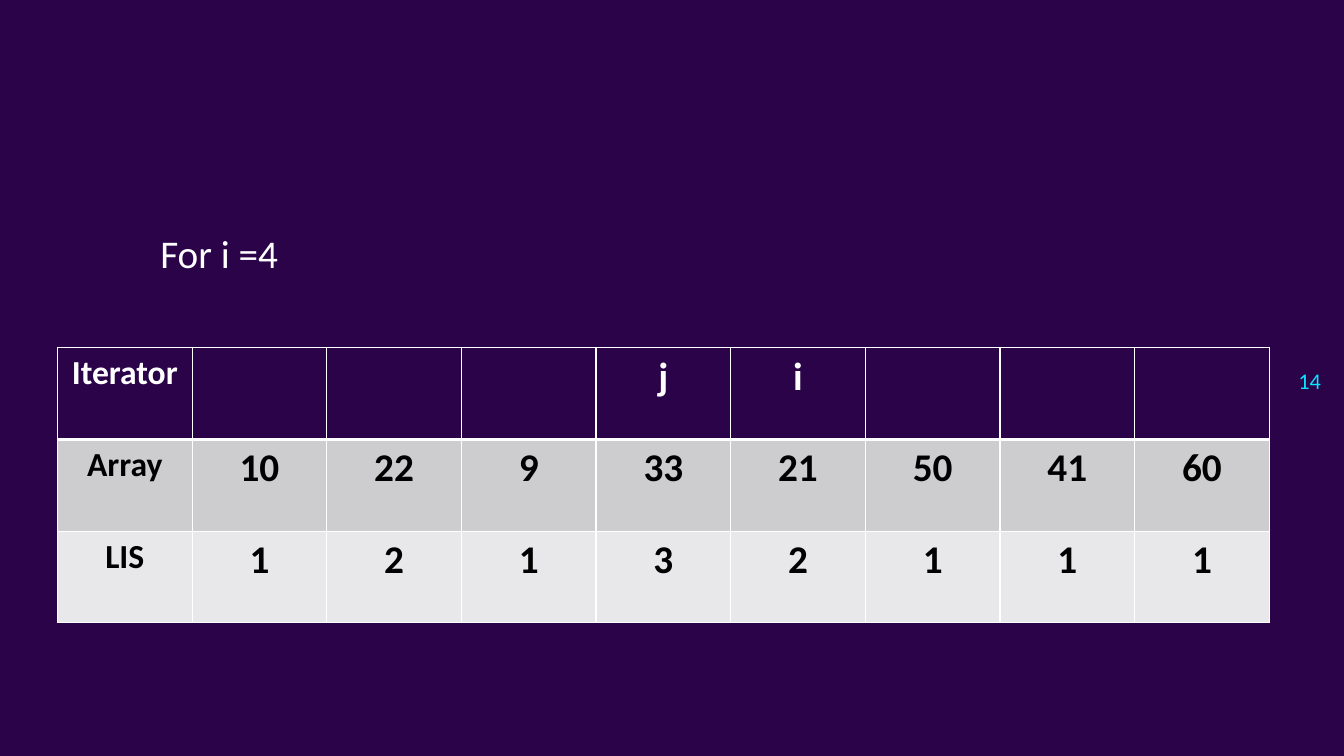
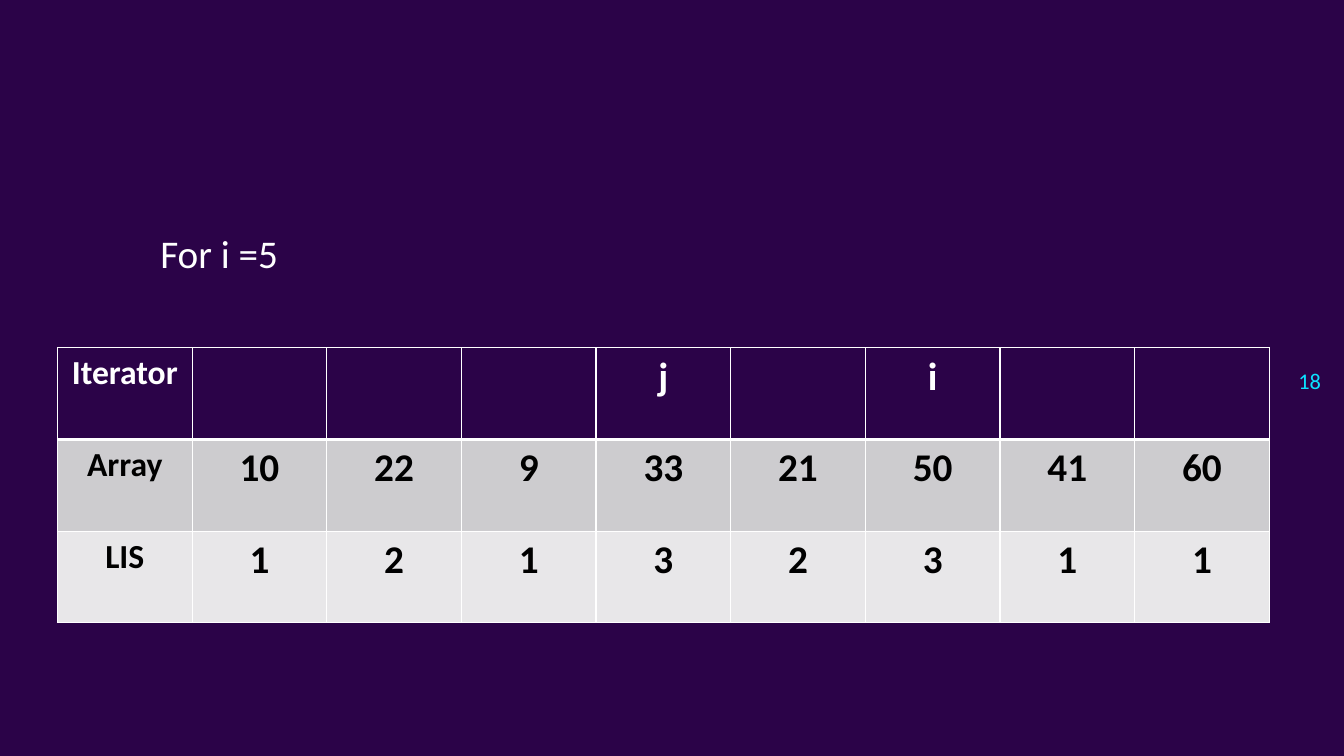
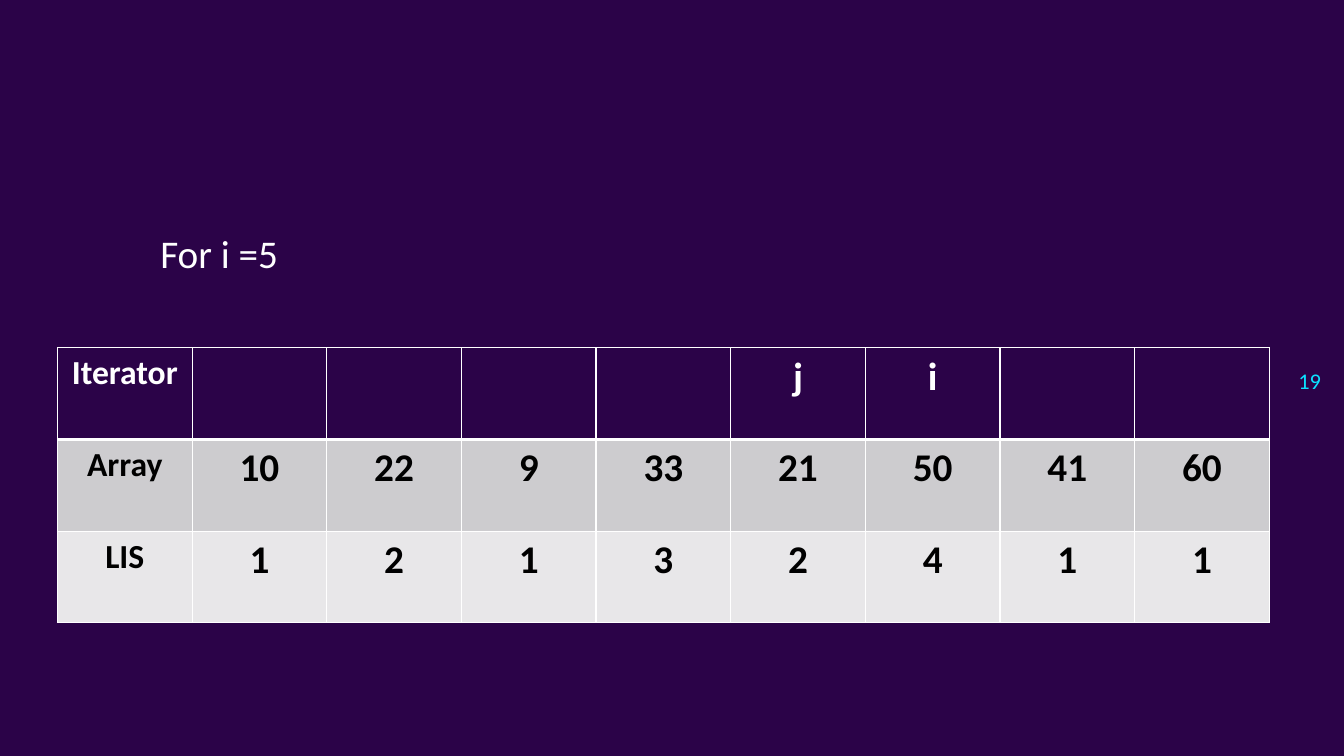
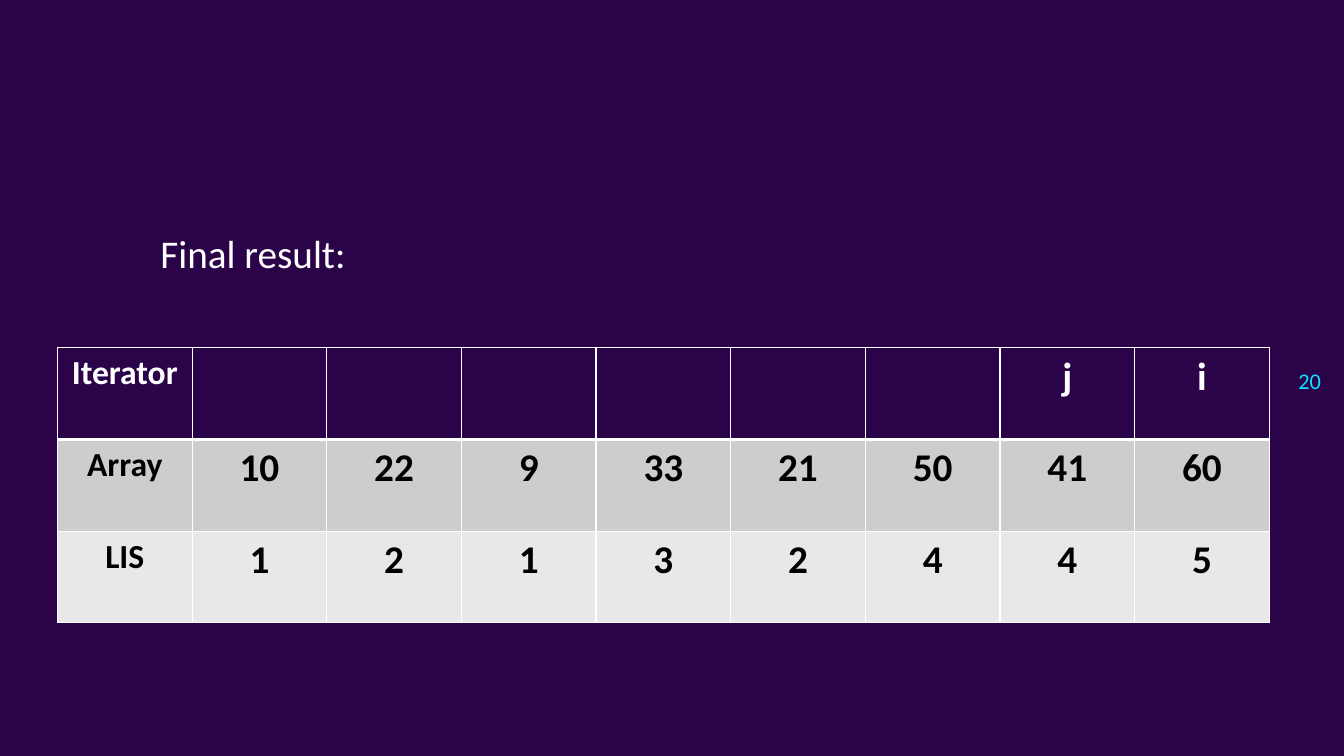
from dataclasses import dataclass

from lxml.etree import SubElement
from pptx import Presentation
from pptx.dml.color import RGBColor
from pptx.enum.text import MSO_ANCHOR, MSO_AUTO_SIZE, PP_ALIGN
from pptx.oxml.ns import qn
from pptx.presentation import Presentation as Deck
from pptx.slide import Slide
from pptx.table import _Cell as Cell
from pptx.text.text import TextFrame
from pptx.util import Inches, Pt

FONT = "Calibri"
COLORS = {
    "background": "2B0348",
    "white": "FFFFFF",
    "black": "000000",
    "page number": "0BE1FF",
    "array row": "CDCCCF",
    "result row": "E8E7E9",
}
ARRAY = [10, 22, 9, 33, 21, 50, 41, 60]
COLUMN_WIDTH = 12.02 / (len(ARRAY) + 1)
ROW_HEIGHT = 0.91


@dataclass(frozen=True)
class Step:
    """One state of the longest increasing subsequence search."""
    page_number: int
    heading: str
    j: int
    i: int
    lengths: list[int]


@dataclass(frozen=True)
class RowStyle:
    label: str
    fill: str
    text: str
    top_border: float
    bottom_border: float


STEPS = [
    Step(14, "For i =4", 3, 4, [1, 2, 1, 3, 2, 1, 1, 1]),
    Step(18, "For i =5", 3, 5, [1, 2, 1, 3, 2, 3, 1, 1]),
    Step(19, "For i =5", 4, 5, [1, 2, 1, 3, 2, 4, 1, 1]),
    Step(20, "Final result:", 6, 7, [1, 2, 1, 3, 2, 4, 4, 5]),
]
ROW_STYLES = [
    RowStyle("Iterator", "background", "white", 1, 3),
    RowStyle("Array", "array row", "black", 3, 1),
    RowStyle("LIS", "result row", "black", 1, 1),
]


def color(name: str) -> RGBColor:
    return RGBColor.from_string(COLORS[name])


def write(frame: TextFrame, text: str, size: float, color_name: str,
          align: PP_ALIGN, bold: bool = False) -> None:
    """Put one formatted paragraph in a text frame."""
    frame.text = text
    para = frame.paragraphs[0]
    para.alignment = align
    for span in para.runs:
        span.font.name = FONT
        span.font.size = Pt(size)
        span.font.bold = bold
        span.font.color.rgb = color(color_name)


def add_heading(page: Slide, text: str) -> None:
    title = page.shapes.title
    title.left, title.top = Inches(1.49), Inches(1.99)
    title.width, title.height = Inches(7.99), Inches(1.23)
    frame = title.text_frame
    frame.auto_size = MSO_AUTO_SIZE.NONE
    frame.vertical_anchor = MSO_ANCHOR.TOP
    write(frame, text, 28, "white", PP_ALIGN.LEFT)
    frame.paragraphs[0].line_spacing = 1.5


def add_page_number(page: Slide, number: int) -> None:
    box = page.shapes.add_textbox(
        Inches(12.6), Inches(3.46), Inches(0.6), Inches(0.63))
    frame = box.text_frame
    frame.word_wrap = True
    frame.vertical_anchor = MSO_ANCHOR.MIDDLE
    write(frame, str(number), 16, "page number", PP_ALIGN.RIGHT)


def style_cell(cell: Cell, style: RowStyle) -> None:
    """Draw the white borders, then the fill, as the schema orders them."""
    properties = cell._tc.get_or_add_tcPr()
    borders = {"a:lnL": 1, "a:lnR": 1,
               "a:lnT": style.top_border, "a:lnB": style.bottom_border}
    for tag, width in borders.items():
        line = SubElement(properties, qn(tag), w=str(Pt(width)))
        fill = SubElement(line, qn("a:solidFill"))
        SubElement(fill, qn("a:srgbClr"), val=COLORS["white"])
    cell.fill.solid()
    cell.fill.fore_color.rgb = color(style.fill)


def add_step_table(page: Slide, step: Step) -> None:
    pointers = {step.j: "j", step.i: "i"}
    iterators = [pointers.get(index, "") for index in range(len(ARRAY))]
    rows = [iterators, ARRAY, step.lengths]
    columns = len(ARRAY) + 1
    table = page.shapes.add_table(
        len(rows), columns, Inches(0.57), Inches(3.45),
        Inches(COLUMN_WIDTH * columns), Inches(ROW_HEIGHT * len(rows))).table
    for column in table.columns:
        column.width = Inches(COLUMN_WIDTH)
    for row, values, style in zip(table.rows, rows, ROW_STYLES):
        row.height = Inches(ROW_HEIGHT)
        for index, (cell, value) in enumerate(
                zip(row.cells, [style.label, *values])):
            style_cell(cell, style)
            size = 24 if index == 0 else 28
            write(cell.text_frame, str(value), size, style.text,
                  PP_ALIGN.CENTER, bold=True)


def add_step_page(deck: Deck, step: Step) -> None:
    page = deck.slides.add_slide(deck.slide_layouts.get_by_name("Title Only"))
    add_page_number(page, step.page_number)
    add_heading(page, step.heading)
    add_step_table(page, step)


def main() -> None:
    deck = Presentation()
    deck.slide_width, deck.slide_height = Inches(13.33), Inches(7.5)
    # Shared background
    background = deck.slide_master.background.fill
    background.solid()
    background.fore_color.rgb = color("background")
    # One page per step
    for step in STEPS:
        add_step_page(deck, step)
    deck.save("out.pptx")


if __name__ == "__main__":
    main()
